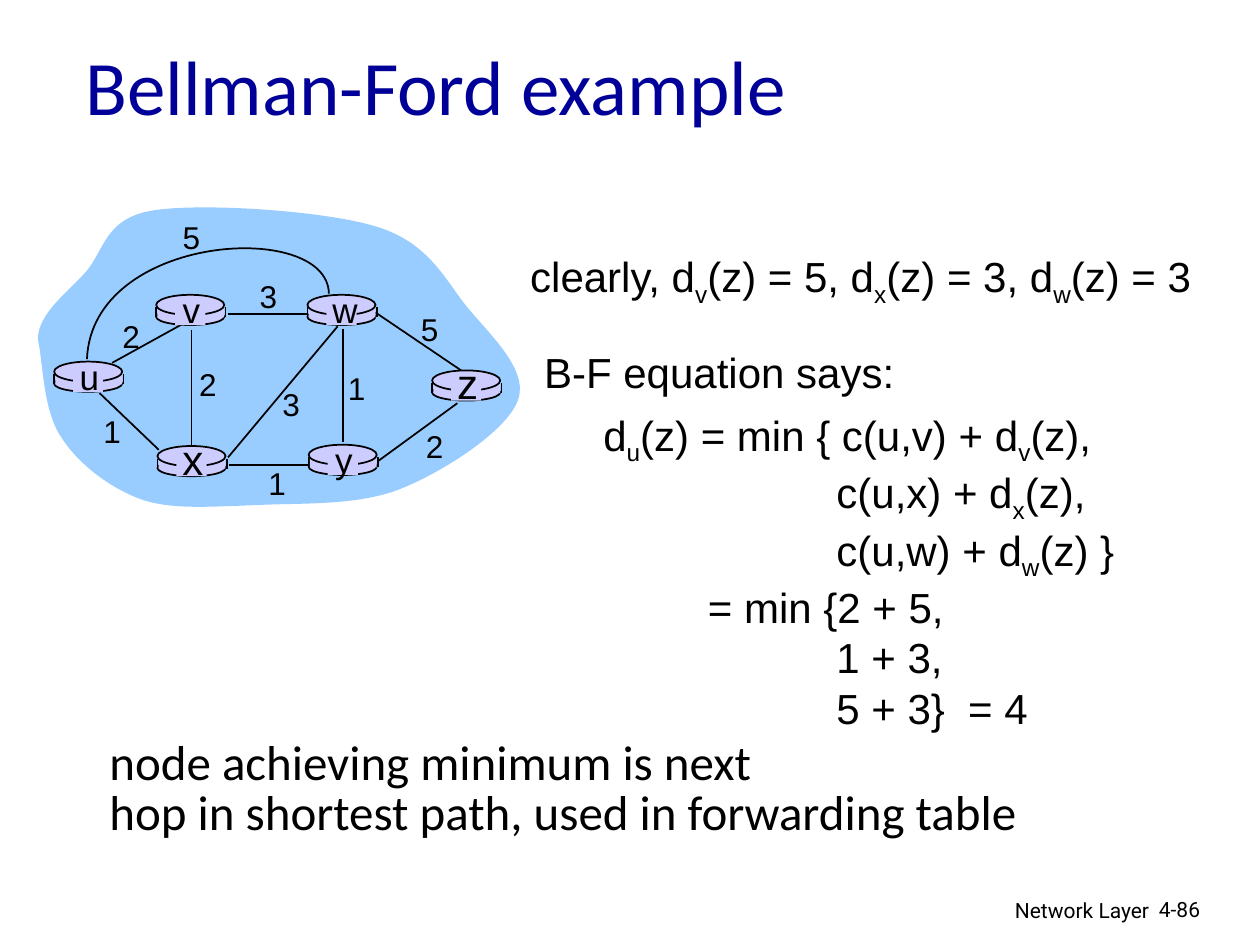
from lxml import etree
from pptx import Presentation
from pptx.dml.color import RGBColor
from pptx.enum.shapes import MSO_CONNECTOR, MSO_SHAPE
from pptx.enum.text import MSO_ANCHOR, MSO_AUTO_SIZE, PP_ALIGN
from pptx.oxml.ns import qn
from pptx.util import Inches, Pt

BLACK = RGBColor(0x00, 0x00, 0x00)
TITLE_BLUE = RGBColor(0x00, 0x00, 0x99)
CLOUD_BLUE = RGBColor(0x99, 0xCC, 0xFF)
ROUTER_LILAC = RGBColor(0xCC, 0xCC, 0xFF)

presentation = Presentation()
presentation.slide_width = Inches(10)
presentation.slide_height = Inches(7.5)
slide = presentation.slides.add_slide(presentation.slide_layouts[6])
shapes = slide.shapes


def add_text(box, lines, size, font="Arial", color=BLACK, align=PP_ALIGN.LEFT,
             wrap=False, spacing=None):
    """Each line is (indent in inches, text); text after each '_' starts with a one-letter subscript."""
    text_box = shapes.add_textbox(*[Inches(value) for value in box])
    frame = text_box.text_frame
    frame.word_wrap = wrap
    frame.auto_size = MSO_AUTO_SIZE.NONE if wrap else MSO_AUTO_SIZE.SHAPE_TO_FIT_TEXT
    for index, (indent, text) in enumerate(lines):
        paragraph = frame.paragraphs[0] if index == 0 else frame.add_paragraph()
        paragraph.alignment = align
        if spacing:
            paragraph.line_spacing = spacing
        if indent:
            paragraph._p.get_or_add_pPr().set("marL", str(Inches(indent)))
        first, *rest = text.split("_")
        pieces = [(first, False)]
        for part in rest:
            pieces += [(part[0], True), (part[1:], False)]
        for piece, subscript in pieces:
            run = paragraph.add_run()
            run.text = piece
            run.font.size = Pt(size)
            run.font.name = font
            run.font.color.rgb = color
            if subscript:
                run._r.get_or_add_rPr().set("baseline", "-25000")
    return text_box


def paint(shape, fill=None, outlined=False):
    """Set the shape's fill and its thin black outline, without a shadow."""
    shape.shadow.inherit = False
    if fill is None:
        shape.fill.background()
    else:
        shape.fill.solid()
        shape.fill.fore_color.rgb = fill
    if outlined:
        shape.line.color.rgb = BLACK
        shape.line.width = Pt(1)
    else:
        shape.line.fill.background()


# Footer and title
add_text((6.05, 7.07, 3.17, 0.31), [(0, "Network Layer")], 12, "Roboto",
         align=PP_ALIGN.RIGHT, wrap=True)
add_text((9.1, 7.07, 0.74, 0.3), [(0, "4-86")], 12, "Roboto", wrap=True)
title = add_text((0.58, 0.19, 8.5, 0.96), [(0, "Bellman-Ford example")], 44,
                 "Calibri", TITLE_BLUE, wrap=True)
title.text_frame.vertical_anchor = MSO_ANCHOR.MIDDLE

# Curves: a start point, then three Bezier points per segment
cloud_points = [
    (0.3, 2.69),
    (0.31, 2.48), (0.53, 2.33), (0.68, 2.16),
    (0.83, 1.99), (0.83, 1.73), (1.22, 1.67),
    (1.6, 1.61), (2.57, 1.67), (2.99, 1.8),
    (3.41, 1.93), (3.53, 2.22), (3.71, 2.44),
    (3.9, 2.67), (4.2, 2.94), (4.11, 3.18),
    (4.02, 3.42), (3.53, 3.74), (3.18, 3.88),
    (2.83, 4.02), (2.37, 3.99), (2.02, 4.01),
    (1.68, 4.02), (1.36, 4.05), (1.11, 3.96),
    (0.85, 3.86), (0.61, 3.67), (0.48, 3.46),
    (0.34, 3.25), (0.34, 2.85), (0.3, 2.69),
]
arc_points = [(2.61, 2.33), (2.6, 1.74), (0.73, 1.85), (0.69, 2.85)]
for points, fill, closed in [(cloud_points, CLOUD_BLUE, True), (arc_points, None, False)]:
    start, *others = [(Inches(x), Inches(y)) for x, y in points]
    builder = shapes.build_freeform(*start)
    builder.add_line_segments(others, close=closed)
    curve = builder.convert_to_shape()
    paint(curve, fill, outlined=not closed)
    # Turn every three straight segments into one Bezier segment
    segments = list(curve._element.iter(qn("a:lnTo")))
    for index in range(0, len(points) - 1, 3):
        bezier = etree.Element(qn("a:cubicBezTo"))
        segments[index].addprevious(bezier)
        for segment in segments[index:index + 3]:
            bezier.append(segment[0])
            segment.getparent().remove(segment)

# Routers: name, left, top, letter size
routers = [
    ("u", 0.43, 2.87, 20), ("x", 1.25, 3.54, 24), ("v", 1.24, 2.34, 20),
    ("w", 2.44, 2.34, 20), ("y", 2.45, 3.53, 20), ("z", 3.43, 2.94, 24),
]
# Links between routers
lines = [
    (0.89, 2.88, 1.47, 2.56), (2.72, 2.61, 2.72, 3.51), (1.52, 2.62, 1.52, 3.54),
    (1.81, 3.63, 2.68, 2.59), (3, 3.66, 3.63, 3.2), (2.45, 3.69, 1.82, 3.69),
    (1.26, 3.57, 0.79, 3.12), (2.44, 2.49, 1.81, 2.49), (3.66, 2.94, 2.98, 2.48),
]
# Both upright sides of each router
lines += [(left + offset, top + 0.1, left + offset, top + 0.18)
          for _, left, top, _ in routers for offset in (0, 0.55)]
for x1, y1, x2, y2 in lines:
    line = shapes.add_connector(MSO_CONNECTOR.STRAIGHT, Inches(x1), Inches(y1),
                                Inches(x2), Inches(y2))
    line.line.color.rgb = BLACK
    line.line.width = Pt(1)
    etree.SubElement(line._element.spPr, qn("a:effectLst"))

# Router bodies: base, wall, lid, then the patch behind the letter
router_parts = [
    (MSO_SHAPE.OVAL, 0, 0.11, 0.54, 0.13, True),
    (MSO_SHAPE.RECTANGLE, 0.01, 0.1, 0.53, 0.08, False),
    (MSO_SHAPE.OVAL, 0, 0, 0.54, 0.16, True),
    (MSO_SHAPE.RECTANGLE, 0.15, 0.02, 0.24, 0.22, False),
]
for name, left, top, size in routers:
    for kind, dx, dy, width, height, outlined in router_parts:
        part = shapes.add_shape(kind, Inches(left + dx), Inches(top + dy),
                                Inches(width), Inches(height))
        paint(part, ROUTER_LILAC, outlined)
    rise, height = (0.1, 0.44) if size == 20 else (0.15, 0.5)
    add_text((left + 0.1, top - rise, 0.36, height), [(0, name)], size,
             align=PP_ALIGN.CENTER)

# Link costs
link_costs = [
    ("2", 0.87, 2.47), ("2", 1.48, 2.85), ("1", 0.72, 3.22), ("3", 2.14, 3.01),
    ("1", 2.03, 3.63), ("1", 2.66, 2.88), ("2", 3.28, 3.34), ("5", 3.24, 2.41),
    ("3", 1.96, 2.15), ("5", 1.35, 1.68),
]
for cost, left, top in link_costs:
    add_text((left, top, 0.34, 0.4), [(0, cost)], 18, align=PP_ALIGN.CENTER)

# Equations; the indented block gets a fixed width with room for its longest line
add_text((4.11, 1.94, 5.47, 0.56),
         [(0, "clearly, d_v(z) = 5, d_x(z) = 3, d_w(z) = 3")], 24)
add_text((4.22, 2.7, 2.98, 0.5), [(0, "B-F equation says:")], 24)
add_text((4.69, 3.2, 4.6, 2.67), [
    (0, "d_u(z) = min { c(u,v) + d_v(z),"),
    (1.85, "c(u,x) + d_x(z),"),
    (1.85, "c(u,w) + d_w(z) }"),
    (0.83, "= min {2 + 5,"),
    (1.85, "1 + 3,"),
    (1.85, "5 + 3}  = 4"),
], 24, wrap=True)

# Conclusion
add_text((0.77, 5.83, 8.58, 0.9), [
    (0, "node achieving minimum is next"),
    (0, "hop in shortest path, used in forwarding table"),
], 28, "Calibri", spacing=0.85)

presentation.save("out.pptx")
